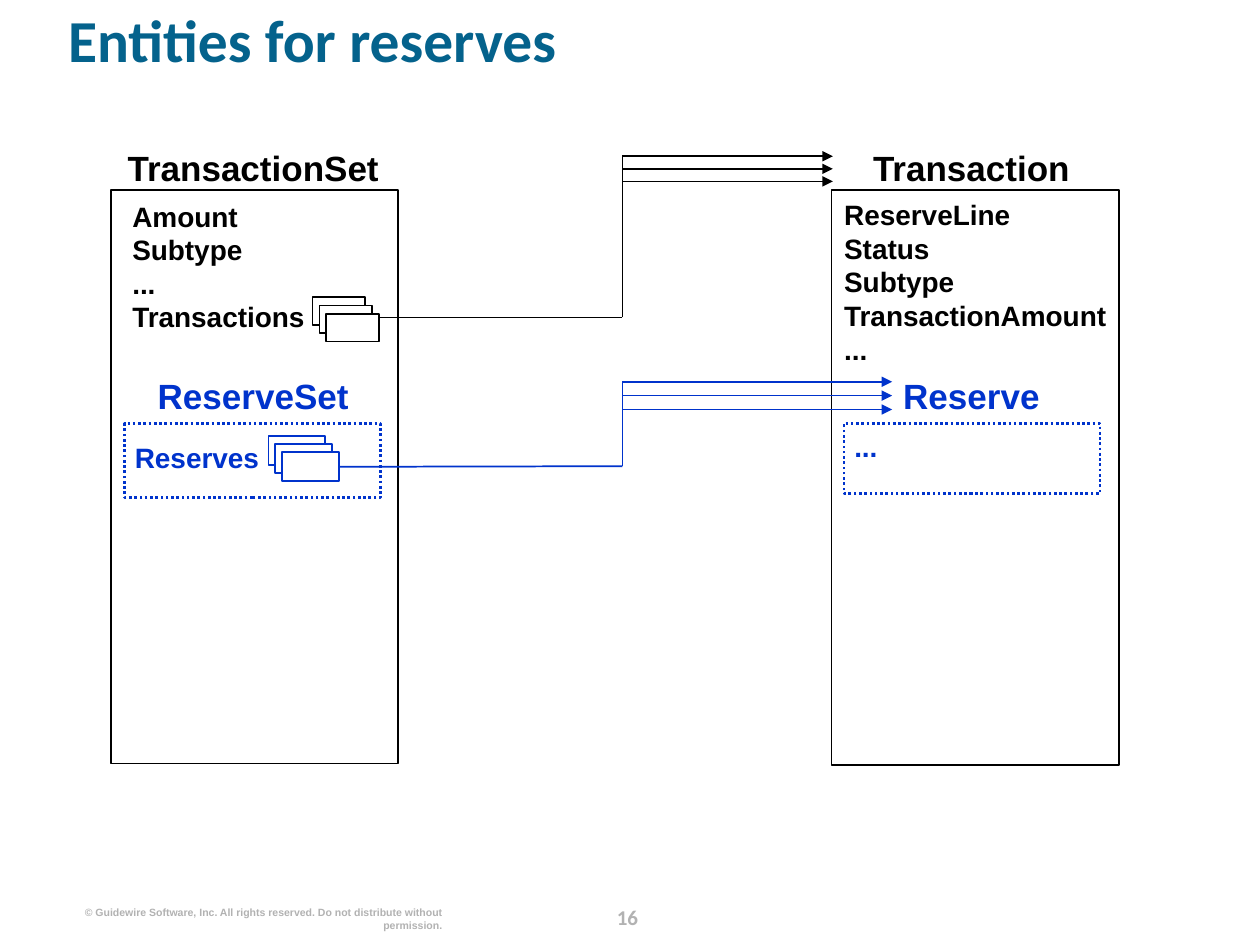
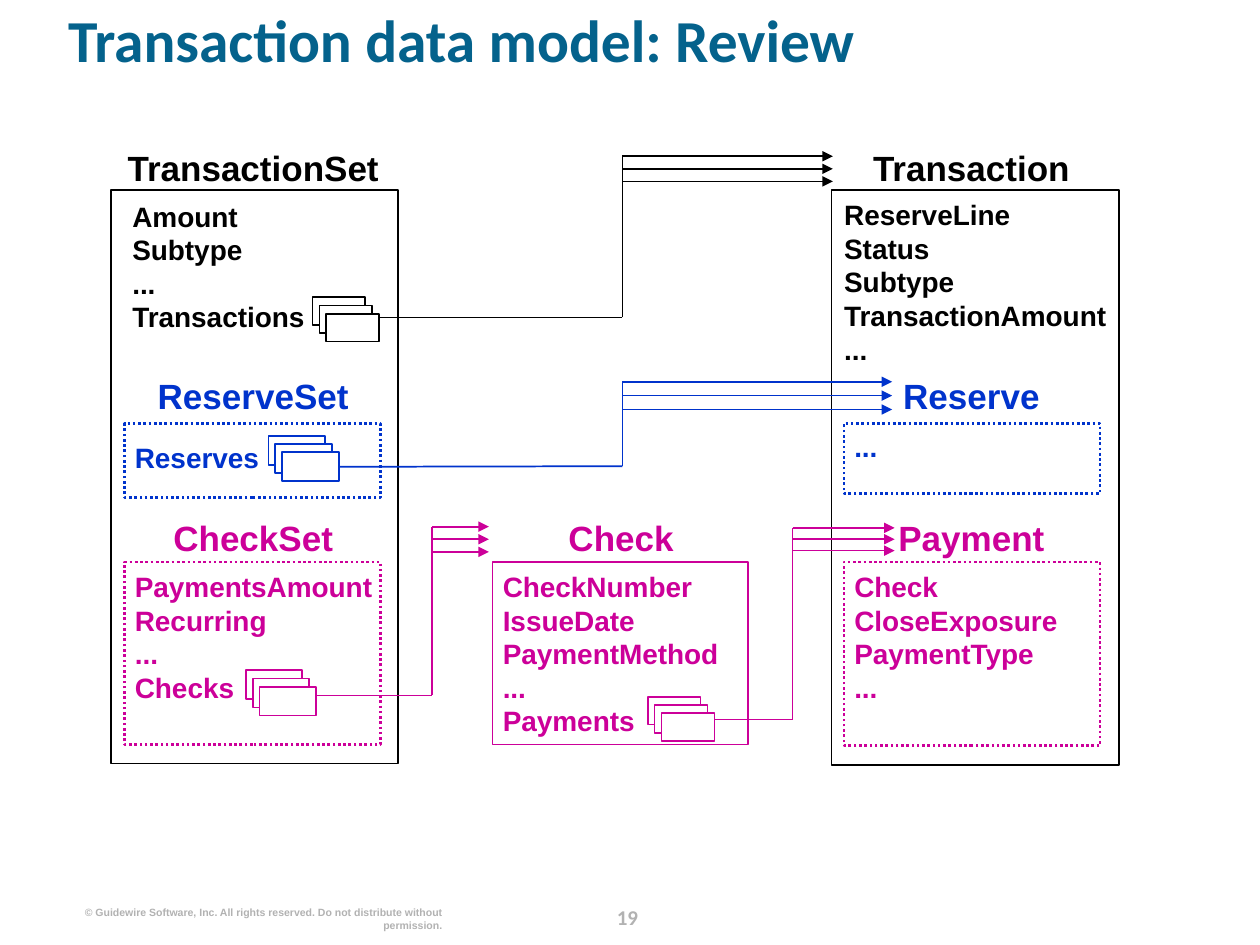
from dataclasses import dataclass

from lxml import etree
from pptx import Presentation
from pptx.dml.color import RGBColor
from pptx.enum.dml import MSO_LINE
from pptx.enum.shapes import MSO_CONNECTOR, MSO_SHAPE
from pptx.enum.text import MSO_ANCHOR, MSO_AUTO_SIZE, PP_ALIGN
from pptx.oxml.ns import qn
from pptx.util import Inches, Pt

LEFT, CENTER, RIGHT = PP_ALIGN.LEFT, PP_ALIGN.CENTER, PP_ALIGN.RIGHT
TOP = MSO_ANCHOR.TOP
NO_FIT = MSO_AUTO_SIZE.NONE
DOTTED = MSO_LINE.ROUND_DOT
RECT = MSO_SHAPE.RECTANGLE
STRAIGHT = MSO_CONNECTOR.STRAIGHT
RIGHT_SIDE = 3
TITLE_ONLY = 5


@dataclass(frozen=True)
class Theme:
    title: str = "04628C"
    base: str = "000000"
    reserve: str = "0033CC"
    check: str = "CC0099"
    paper: str = "FFFFFF"
    footer: str = "B2B2B2"
    title_font: str = "Calibri"
    body_font: str = "Arial"
    title_size: int = 34
    heading_size: int = 20
    field_size: int = 16
    number_size: int = 12
    copyright_size: int = 6
    leading: float = 1.2
    thin: float = 1
    dotted: float = 1.5


T = Theme()
COPYRIGHT = "© Guidewire Software, Inc. All rights reserved. Do not distribute without permission."

COLUMN_CENTERS = {"set": 2.01, "middle": 4.93, "item": 7.71}
HEADING_W, HEADING_H = 2.14, 0.33
STACK_CARDS = 3
STACK_FAN = (0.11, 0.13)

# entity: column, heading top, box, dotted, fields at (left, top, width), fields
GROUPS = {
    "transaction": {
        "color": T.base,
        "entities": [
            ("TransactionSet", "set", 1.16, (0.88, 1.51, 2.28, 4.55), False,
             (1.05, 1.58, 1.92), ["Amount", "Subtype", "...", "Transactions"]),
            ("Transaction", "item", 1.16, (6.6, 1.51, 2.28, 4.56), False,
             (6.7, 1.57, 2.24),
             ["ReserveLine", "Status", "Subtype", "TransactionAmount", "..."]),
        ],
        "links": [
            dict(stack=(2.48, 2.36, 0.42, 0.22), stem_y=2.52, riser_x=4.94,
                 target_x=6.61, first_y=1.24, pitch=0.1),
        ],
    },
    "reserve": {
        "color": T.reserve,
        "entities": [
            ("ReserveSet", "set", 2.97, (0.99, 3.36, 2.03, 0.59), True,
             (1.07, 3.5, 1.11), ["Reserves"]),
            ("Reserve", "item", 2.97, (6.7, 3.36, 2.03, 0.56), True,
             (6.78, 3.41, 1.11), ["..."]),
        ],
        "links": [
            dict(stack=(2.13, 3.46, 0.45, 0.23), stem_y=3.7, riser_x=4.94,
                 target_x=7.08, first_y=3.03, pitch=0.11),
        ],
    },
    "check": {
        "color": T.check,
        "entities": [
            ("CheckSet", "set", 4.1, (0.99, 4.46, 2.03, 1.45), True,
             (1.07, 4.52, 1.92), ["PaymentsAmount", "Recurring", "...", "Checks"]),
            ("Check", "middle", 4.1, (3.91, 4.46, 2.03, 1.45), False,
             (3.99, 4.52, 1.92),
             ["CheckNumber", "IssueDate", "PaymentMethod", "...", "Payments"]),
            ("Payment", "item", 4.1, (6.7, 4.46, 2.03, 1.46), True,
             (6.78, 4.52, 1.92), ["Check", "CloseExposure", "PaymentType", "..."]),
        ],
        "links": [
            dict(stack=(1.95, 5.32, 0.45, 0.23), stem_y=5.52, riser_x=3.43,
                 target_x=3.88, first_y=4.18, pitch=0.1),
            dict(stack=(5.14, 5.53, 0.42, 0.22), stem_y=5.71, riser_x=6.29,
                 target_x=7.1, first_y=4.19, pitch=0.09),
        ],
    },
}

SLIDES = [
    ("Entities for reserves", "16", ["transaction", "reserve"]),
    ("Transaction data model: Review", "19", ["transaction", "reserve", "check"]),
]


def rgb(color):
    return RGBColor.from_string(color)


def set_font(p, font, size, color):
    p.font.name = font
    p.font.size = Pt(size)
    p.font.bold = True
    p.font.color.rgb = rgb(color)


def prepare_frame(tf):
    tf.word_wrap = True
    tf.auto_size = NO_FIT
    tf.vertical_anchor = TOP
    tf.margin_left = tf.margin_top = tf.margin_right = tf.margin_bottom = 0


def add_text(s, box, lines, size, color, align=LEFT, font=T.body_font, leading=T.leading):
    tf = s.shapes.add_textbox(*map(Inches, box)).text_frame
    prepare_frame(tf)
    tf.text = "\n".join(lines)
    for p in tf.paragraphs:
        p.alignment = align
        p.line_spacing = Pt(size * leading)
        set_font(p, font, size, color)


def add_box(s, box, color, dotted=False, filled=False):
    sp = s.shapes.add_shape(RECT, *map(Inches, box))
    sp.shadow.inherit = False
    if filled:
        sp.fill.solid()
        sp.fill.fore_color.rgb = rgb(T.paper)
    else:
        sp.fill.background()
    sp.line.color.rgb = rgb(color)
    sp.line.width = Pt(T.dotted if dotted else T.thin)
    if dotted:
        sp.line.dash_style = DOTTED
    return sp


def add_line(s, start, end, color, arrow=False):
    line = s.shapes.add_connector(STRAIGHT, *map(Inches, start + end))
    line.line.color.rgb = rgb(color)
    line.line.width = Pt(T.thin)
    if arrow:
        etree.SubElement(line.line._get_or_add_ln(), qn("a:tailEnd"), type="triangle")
    etree.SubElement(line._element.spPr, qn("a:effectLst"))
    return line


def add_stack(s, box, color):
    x, y, w, h = box
    for i in range(STACK_CARDS):
        share = i / (STACK_CARDS - 1)
        card = (x + STACK_FAN[0] * share, y + STACK_FAN[1] * share, w, h)
        front = add_box(s, card, color, filled=True)
    return front, card


def add_link(s, color, stack, stem_y, riser_x, target_x, first_y, pitch):
    front, (x, y, w, h) = add_stack(s, stack, color)
    stem = add_line(s, (x + w, stem_y), (riser_x, stem_y), color)
    if abs(y + h / 2 - stem_y) < 0.02:
        stem.begin_connect(front, RIGHT_SIDE)
    add_line(s, (riser_x, stem_y), (riser_x, first_y), color)
    for i in range(STACK_CARDS):
        head_y = first_y + i * pitch
        add_line(s, (riser_x, head_y), (target_x, head_y), color, arrow=True)


def add_entity(s, color, name, column, heading_top, box, dotted, fields_at, fields):
    add_box(s, box, color, dotted)
    heading = (COLUMN_CENTERS[column] - HEADING_W / 2, heading_top, HEADING_W, HEADING_H)
    add_text(s, heading, [name], T.heading_size, color, CENTER)
    height = len(fields) * T.field_size * T.leading / 72
    add_text(s, (*fields_at, height), fields, T.field_size, color)


def add_frame(s, title, number):
    sp = s.shapes.title
    sp.left, sp.top, sp.width, sp.height = map(Inches, (0.54, 0.13, 9.1, 0.81))
    prepare_frame(sp.text_frame)
    sp.text_frame.text = title
    p = sp.text_frame.paragraphs[0]
    p.alignment = LEFT
    p.line_spacing = 0.8
    set_font(p, T.title_font, T.title_size, T.title)
    add_text(s, (4.73, 7.13, 0.5, 0.25), [number], T.number_size, T.footer,
             CENTER, T.title_font, leading=1.5)
    add_text(s, (0.61, 7.19, 2.9, 0.21), [COPYRIGHT], T.copyright_size, T.footer, RIGHT)


def main():
    prs = Presentation()
    prs.slide_width, prs.slide_height = Inches(10), Inches(7.5)
    for title, number, names in SLIDES:
        s = prs.slides.add_slide(prs.slide_layouts[TITLE_ONLY])
        add_frame(s, title, number)
        for name in names:
            group = GROUPS[name]
            for entity in group["entities"]:
                add_entity(s, group["color"], *entity)
            for link in group["links"]:
                add_link(s, group["color"], **link)
    prs.save("out.pptx")


if __name__ == "__main__":
    main()
